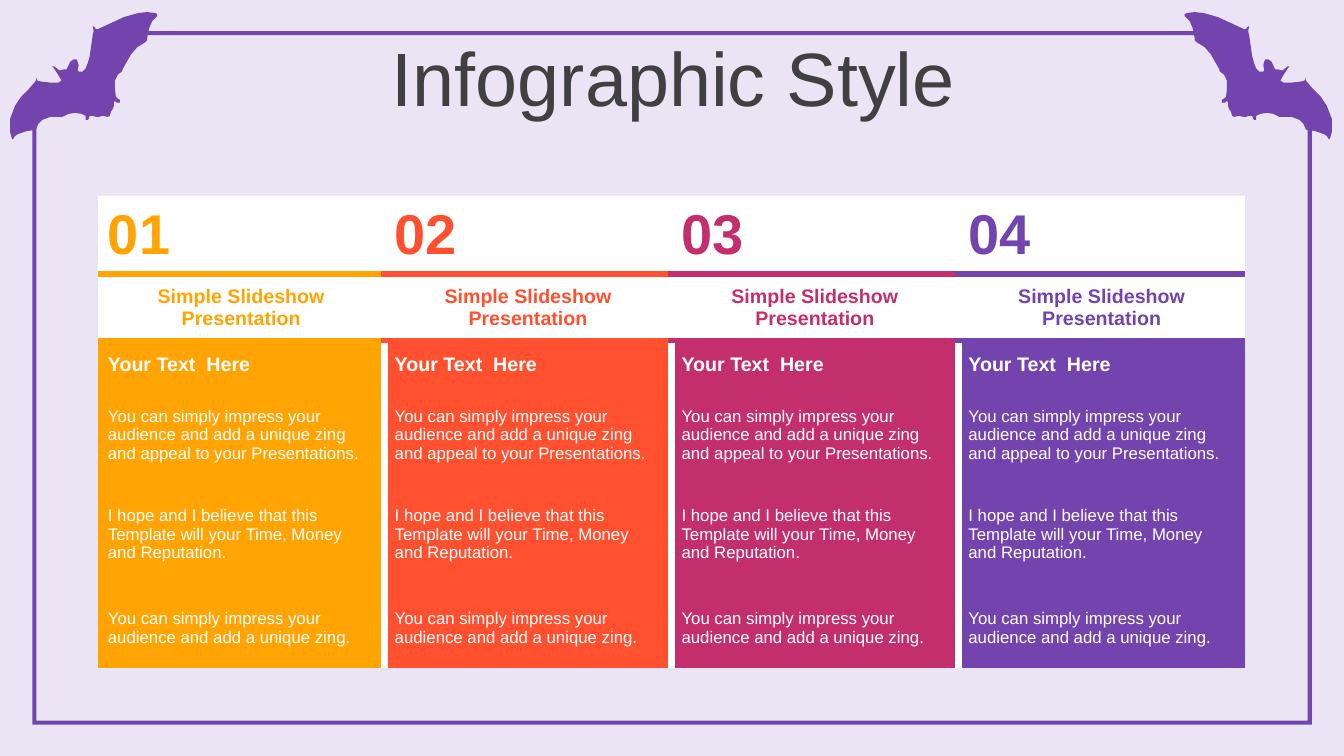
import lxml.etree
import pptx
import pptx.dml.color
import pptx.enum.text
import pptx.oxml.ns
import pptx.util

COLORS = {
    "background": "EBE4F4", "title": "404040", "white": "FFFFFF",
    "orange": "FFA402", "red": "FF5030", "pink": "C32F6D", "purple": "7344AE",
}
TITLE = "Infographic Style"
COLUMNS = [("01", "orange"), ("02", "red"), ("03", "pink"), ("04", "purple")]
SUBTITLE = "Simple Slideshow Presentation"
BODY_TEXTS = [
    ("Your Text  Here", 14, True),
    ("You can simply impress your audience and add a unique zing and appeal to your Presentations.", 12, False),
    ("I hope and I believe that this Template will your Time, Money and Reputation.", 12, False),
    ("You can simply impress your audience and add a unique zing.", 12, False),
]
ROW_HEIGHTS = [0.78, 0.66, 0.48, 0.91, 1.06, 0.8]
COLUMN_WIDTH = 2.845

HUNDREDTH = pptx.util.Inches(0.01)
MIRROR_SUM = 1331
FRAME = [
    [(1297, 108), (1301, 108), (1301, 719), (32, 719), (32, 108), (36, 108), (36, 715), (1297, 715)],
    [(108, 31), (1225, 31), (1225, 35), (108, 35)],
]
LEFT_BAT = [
    (36, 77), (37, 80), (41, 81), (50, 82), (58, 82), (61, 80), (60, 78), (57, 73), (53, 67),
    (52, 66), (54, 66), (59, 70), (63, 69), (66, 69), (68, 65), (70, 61), (73, 59), (76, 59),
    (77, 61), (78, 65), (77, 69), (78, 71), (82, 71), (85, 68), (87, 63), (89, 56), (92, 35),
    (93, 31), (92, 26), (94, 27), (95, 29), (97, 29), (110, 23), (123, 17), (137, 13), (146, 12),
    (154, 13), (156, 14), (156, 16), (151, 21), (148, 28), (146, 38), (146, 40), (144, 42),
    (136, 47), (130, 54), (126, 61), (122, 68), (121, 71), (117, 74), (114, 80), (114, 88),
    (115, 96), (117, 98), (119, 99), (119, 102), (116, 102), (114, 100), (113, 102), (113, 105),
    (112, 108), (110, 111), (109, 115), (107, 116), (102, 115), (98, 116), (95, 116), (93, 115),
    (89, 115), (88, 118), (87, 119), (85, 119), (85, 115), (81, 113), (74, 112), (68, 113),
    (62, 116), (59, 116), (50, 116), (42, 119), (38, 123), (36, 128), (35, 129), (27, 130),
    (18, 133), (15, 135), (13, 138), (12, 138), (10, 131), (10, 118), (15, 105), (21, 96),
    (28, 89), (35, 81), (36, 79),
]
RIGHT_BAT = [(MIRROR_SUM - x, y) for x, y in LEFT_BAT]


def rgb(name):
    return pptx.dml.color.RGBColor.from_string(COLORS[name])


def write_text(frame, text, *, size, color, bold=False, centered=False, line_spacing=None):
    frame.vertical_anchor = pptx.enum.text.MSO_ANCHOR.MIDDLE
    paragraph = frame.paragraphs[0]
    align = pptx.enum.text.PP_ALIGN
    paragraph.alignment = align.CENTER if centered else align.LEFT
    paragraph.line_spacing = line_spacing
    run = paragraph.add_run()
    run.text = text
    run.font.name = "Arial"
    run.font.size = pptx.util.Pt(size)
    run.font.bold = bold
    run.font.color.rgb = rgb(color)


def draw_outline(slide, contours, color):
    builder = slide.shapes.build_freeform(*contours[0][0], scale=HUNDREDTH)
    builder.add_line_segments(contours[0][1:], close=True)
    for contour in contours[1:]:
        builder.move_to(*contour[0])
        builder.add_line_segments(contour[1:], close=True)
    outline = builder.convert_to_shape()
    outline.shadow.inherit = False
    outline.fill.solid()
    outline.fill.fore_color.rgb = rgb(color)
    outline.line.fill.background()


def add_border(cell, side, color, width):
    qn = pptx.oxml.ns.qn
    properties = cell._tc.get_or_add_tcPr()
    line = lxml.etree.SubElement(properties, qn(f"a:ln{side}"), w=str(pptx.util.Pt(width)))
    fill = lxml.etree.SubElement(line, qn("a:solidFill"))
    lxml.etree.SubElement(fill, qn("a:srgbClr"), val=COLORS[color])


def fill_cell(cell, row, column, text, fill, **text_format):
    accent = COLUMNS[column][1]
    if column > 0:
        add_border(cell, "L", "white", 6)
    if column < len(COLUMNS) - 1:
        add_border(cell, "R", "white", 6)
    if row == 1:
        add_border(cell, "T", accent, 4.5)
    if row == 0:
        add_border(cell, "B", accent, 4.5)
    cell.fill.solid()
    cell.fill.fore_color.rgb = rgb(fill)
    cell.vertical_anchor = pptx.enum.text.MSO_ANCHOR.MIDDLE
    write_text(cell.text_frame, text, **text_format)


def add_infographic(slide):
    inches = pptx.util.Inches
    table = slide.shapes.add_table(
        len(ROW_HEIGHTS), len(COLUMNS), inches(0.97), inches(1.94),
        inches(COLUMN_WIDTH * len(COLUMNS)), inches(sum(ROW_HEIGHTS)),
    ).table
    table.first_row = table.horz_banding = False
    style = table._tbl.tblPr.find(pptx.oxml.ns.qn("a:tableStyleId"))
    style.text = "{2D5ABB26-0587-4C30-8999-92F81FD0307C}"
    for row, height in zip(table.rows, ROW_HEIGHTS):
        row.height = inches(height)
    for column, (number, accent) in enumerate(COLUMNS):
        table.columns[column].width = inches(COLUMN_WIDTH)
        fill_cell(table.cell(0, column), 0, column, number, "white", size=40, color=accent, bold=True)
        fill_cell(table.cell(1, column), 1, column, SUBTITLE, "white",
                  size=14, color=accent, bold=True, centered=True)
        for row, (text, size, bold) in enumerate(BODY_TEXTS, start=2):
            fill_cell(table.cell(row, column), row, column, text, accent,
                      size=size, color="white", bold=bold)


def main():
    inches = pptx.util.Inches
    deck = pptx.Presentation()
    deck.slide_width, deck.slide_height = inches(13.33), inches(7.5)
    slide = deck.slides.add_slide(deck.slide_layouts[6])
    slide.background.fill.solid()
    slide.background.fill.fore_color.rgb = rgb("background")

    for contours in ([RIGHT_BAT], [LEFT_BAT], FRAME):
        draw_outline(slide, contours, "purple")

    title = slide.shapes.add_textbox(inches(0.35), inches(0.37), inches(12.66), inches(0.79)).text_frame
    title.word_wrap = True
    title.margin_top = inches(0.15)
    write_text(title, TITLE, size=54, color="title", centered=True, line_spacing=0.9)

    add_infographic(slide)
    deck.save("out.pptx")


if __name__ == "__main__":
    main()
